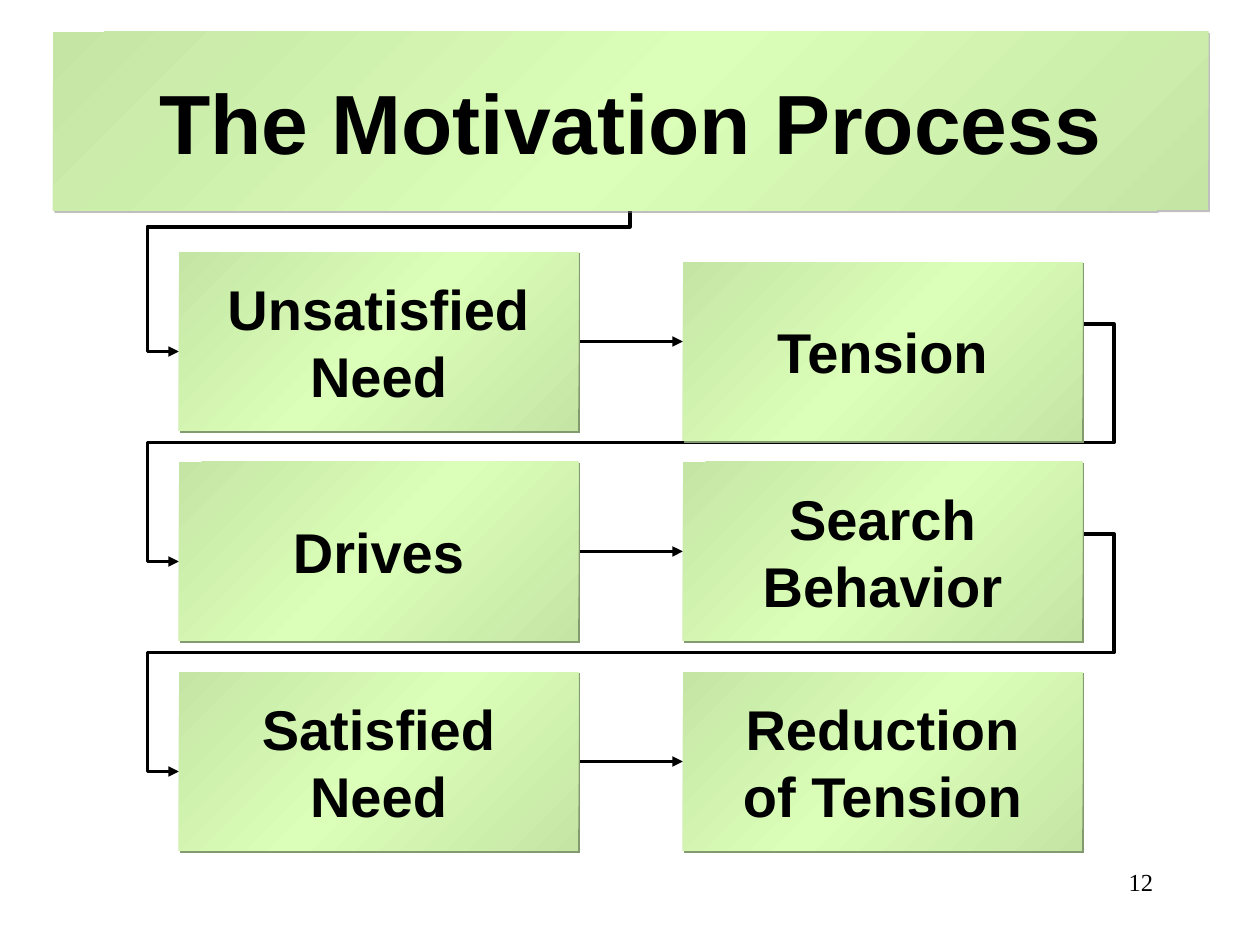
import copy

import pptx
import pptx.dml.color
import pptx.enum.shapes
import pptx.enum.text
import pptx.oxml
import pptx.oxml.ns
import pptx.util
from pptx.util import Inches

COLORS = {
    "edge": "C5E5A5",
    "middle": "DBFFB8",
    "box_shadow": "83996E",
    "title_shadow": "808080",
    "ink": "000000",
}
ROWS = [
    (["Unsatisfied", "Need"], ["Tension"]),
    (["Drives"], ["Search", "Behavior"]),
    (["Satisfied", "Need"], ["Reduction", "of Tension"]),
]
BOX_W, BOX_H = Inches(3.17), Inches(1.42)
LEFT, TOP = Inches(1.42), Inches(2)
ROW_STEP, COLUMN_STEP = Inches(5 / 3), Inches(4)
TENSION_DROP = Inches(0.08)
MARGIN = Inches(0.25)
ENTRY_Y, EXIT_Y = Inches(0.79), Inches(0.57)


def rgb(name):
    return pptx.dml.color.RGBColor.from_string(COLORS[name])


def find(shape, tag):
    return shape.element.spPr.find(".//" + pptx.oxml.ns.qn(tag))


def paint_panel(shape, shadow_color, opacity):
    """Give a panel its diagonal three-stop gradient and a thin hard shadow."""
    shape.fill.gradient()
    shape.fill.gradient_angle = 315
    first, second = shape.fill.gradient_stops
    first.color.rgb, second.color.rgb = rgb("edge"), rgb("middle")
    second.position = 0.5
    stops = find(shape, "a:gsLst")
    last = copy.deepcopy(stops[0])
    last.set("pos", "100000")
    stops.append(last)
    shape.line.fill.background()
    shape.shadow.inherit = False
    find(shape, "a:effectLst").append(pptx.oxml.parse_xml(
        f'<a:outerShdw {pptx.oxml.ns.nsdecls("a")} blurRad="0" dist="17780" dir="2700000">'
        f'<a:srgbClr val="{COLORS[shadow_color]}"><a:alpha val="{opacity * 1000}"/></a:srgbClr>'
        "</a:outerShdw>"))


def write_lines(shape, lines, size, font="Arial", bold=True,
                align=pptx.enum.text.PP_ALIGN.CENTER,
                anchor=pptx.enum.text.MSO_ANCHOR.MIDDLE):
    frame = shape.text_frame
    frame.word_wrap = False
    frame.auto_size = pptx.enum.text.MSO_AUTO_SIZE.NONE
    frame.vertical_anchor = anchor
    for index, line in enumerate(lines):
        para = frame.add_paragraph() if index else frame.paragraphs[0]
        para.alignment = align
        span = para.add_run()
        span.text = line
        span.font.name = font
        span.font.size = pptx.util.Pt(size)
        span.font.bold = bold
        span.font.color.rgb = rgb("ink")


def style_arrow(shape):
    shape.line.color.rgb = rgb("ink")
    shape.line.width = pptx.util.Pt(2)
    find(shape, "a:ln").append(pptx.oxml.parse_xml(
        f'<a:tailEnd {pptx.oxml.ns.nsdecls("a")} type="triangle"/>'))
    shape.element.spPr.append(pptx.oxml.parse_xml(
        f'<a:effectLst {pptx.oxml.ns.nsdecls("a")}/>'))


def add_bent_arrow(slide, points):
    builder = slide.shapes.build_freeform(*points[0])
    builder.add_line_segments(points[1:], close=False)
    arrow = builder.convert_to_shape()
    arrow.fill.background()
    style_arrow(arrow)


def add_row_arrow(slide, left, top):
    y = top + BOX_H // 2
    style_arrow(slide.shapes.add_connector(
        pptx.enum.shapes.MSO_CONNECTOR.STRAIGHT,
        left + BOX_W, y, left + COLUMN_STEP, y))


def add_entry_arrow(slide, start, left, top, bend_y):
    """Lead from the start points round the left margin into a row."""
    lane = left - MARGIN
    entry = top + ENTRY_Y
    add_bent_arrow(slide, start + [
        (start[-1][0], bend_y), (lane, bend_y), (lane, entry), (left, entry)])


def add_step(slide, left, top, lines):
    box = slide.shapes.add_shape(
        pptx.enum.shapes.MSO_SHAPE.RECTANGLE, left, top, BOX_W, BOX_H)
    paint_panel(box, "box_shadow", 100)
    write_lines(box, lines, 32)


def add_flow(slide, left, top):
    tops = [top + row * ROW_STEP for row in range(len(ROWS))]
    add_entry_arrow(slide, [(Inches(5), Inches(1.52))], left, top, Inches(1.8))
    right = left + COLUMN_STEP + BOX_W
    for above, below in zip(tops, tops[1:]):
        exit_y = above + EXIT_Y
        start = [(right, exit_y), (right + MARGIN, exit_y)]
        add_entry_arrow(slide, start, left, below, (exit_y + below + ENTRY_Y) // 2)
    for row, (first, second) in enumerate(ROWS):
        add_row_arrow(slide, left, tops[row])
        add_step(slide, left, tops[row], first)
        drop = TENSION_DROP if row == 0 else 0
        add_step(slide, left + COLUMN_STEP, tops[row] + drop, second)


def add_title(slide, left, top, width, height):
    title = slide.shapes.title
    title.left, title.top, title.width, title.height = left, top, width, height
    paint_panel(title, "title_shadow", 50)
    write_lines(title, ["The Motivation Process"], 48)
    # Bring the title in front of the arrow that leaves it.
    title.element.getparent().append(title.element)


def add_page_number(slide, left, top, width, height):
    box = slide.shapes.add_textbox(left, top, width, height)
    write_lines(box, ["12"], 14, "Times New Roman", False,
                pptx.enum.text.PP_ALIGN.RIGHT, pptx.enum.text.MSO_ANCHOR.TOP)


def main():
    deck = pptx.Presentation()
    deck.slide_width, deck.slide_height = Inches(10), Inches(7.5)
    slide = deck.slides.add_slide(deck.slide_layouts[5])
    add_page_number(slide, Inches(7.17), Inches(6.83), Inches(2.08), Inches(0.5))
    add_flow(slide, LEFT, TOP)
    add_title(slide, Inches(0.42), Inches(0.25), Inches(9.17), BOX_H)
    deck.save("out.pptx")


if __name__ == "__main__":
    main()
